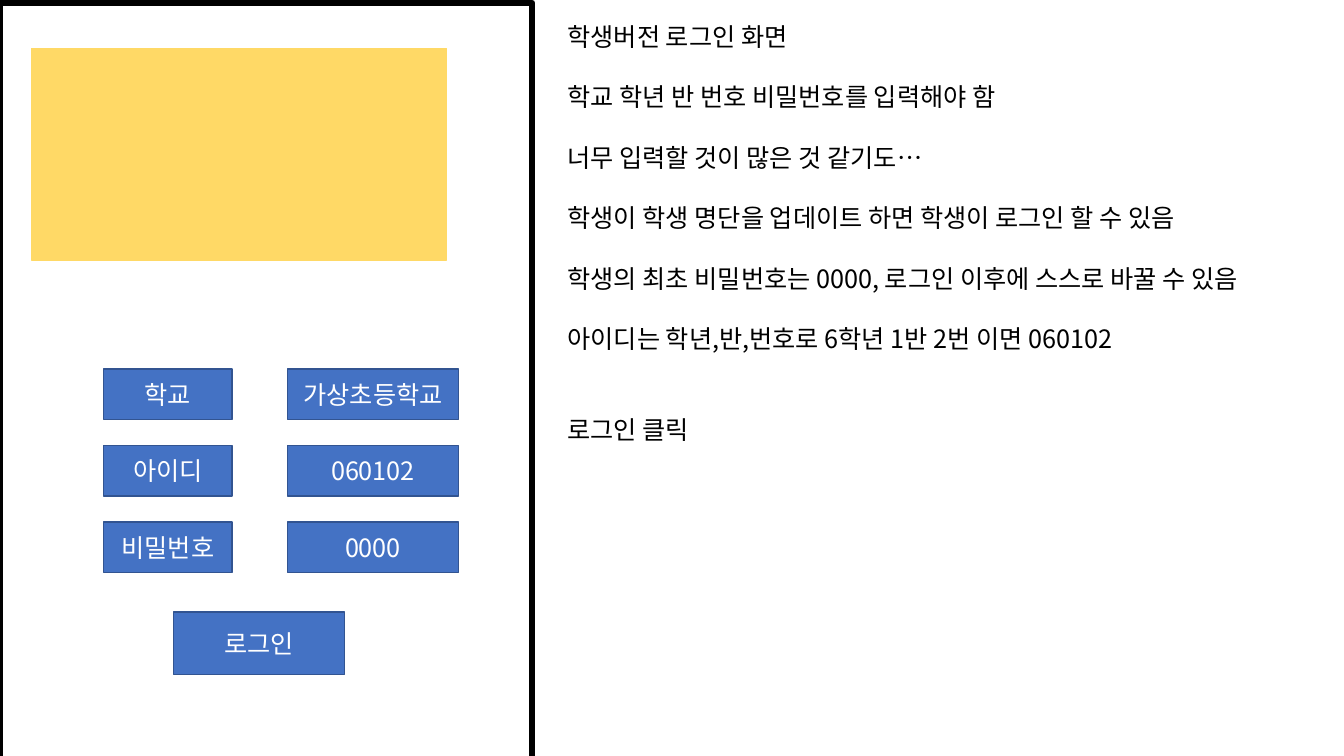
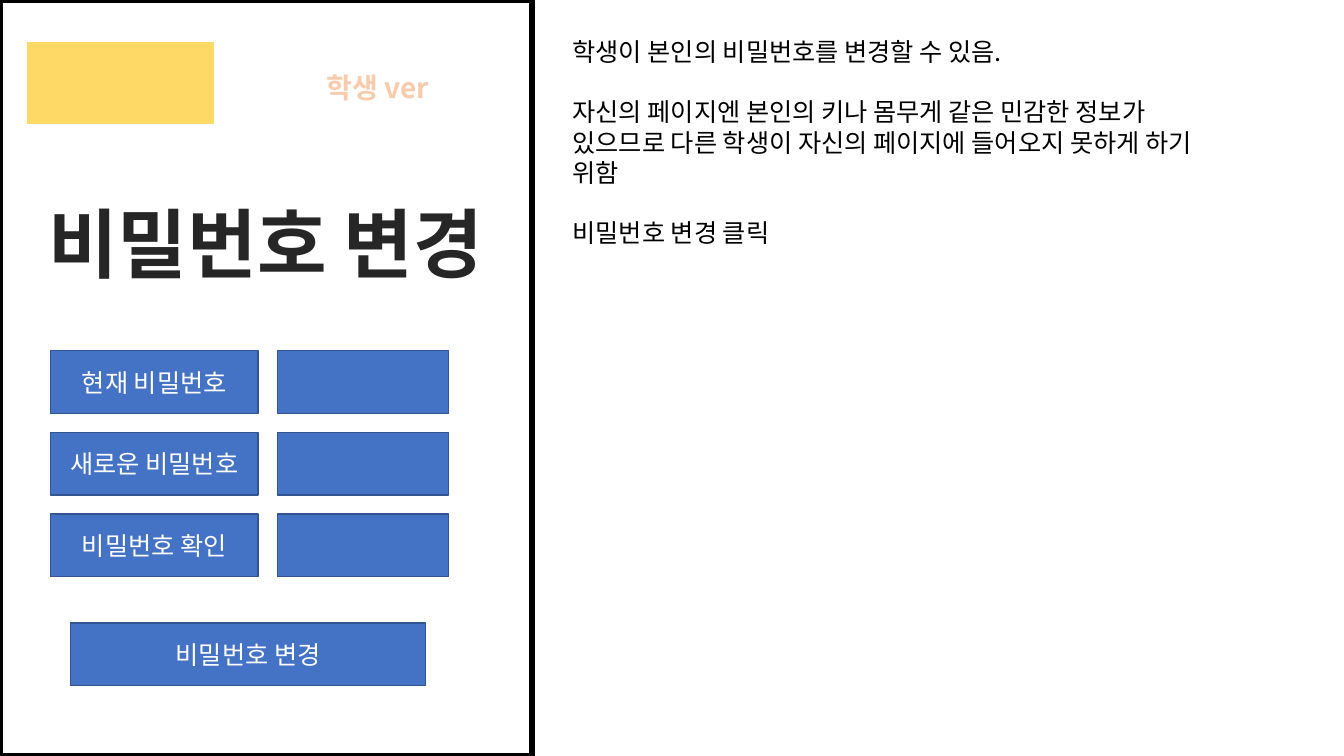
import pptx
import pptx.dml.color
import pptx.enum.shapes
import pptx.enum.text
import pptx.oxml.ns
import pptx.util
from lxml import etree
from pptx.util import Inches, Pt

FONT = "Noto Sans CJK KR"
BLACK, WHITE = "000000", "FFFFFF"
BLUE, NAVY = "4472C4", "325491"
GOLD, PEACH, DARK = "FFD966", "F8CBAD", "262626"
LEAD = 1.2  # line height as a multiple of the text size
ALIGN = pptx.enum.text.PP_ALIGN
ANCHOR = pptx.enum.text.MSO_ANCHOR


def rgb(code):
    return pptx.dml.color.RGBColor.from_string(code)


def inch(box):
    return [Inches(n) for n in box]


def style(par, size, color, align=ALIGN.CENTER, bold=False):
    par.alignment = align
    par.line_spacing = Pt(size * LEAD)
    for run in par.runs:
        font = run.font
        font.name, font.size, font.bold = FONT, Pt(size), bold
        font.color.rgb = rgb(color)
        asian = etree.SubElement(font._element, pptx.oxml.ns.qn("a:ea"))
        asian.set("typeface", FONT)


def label(slide, box, text, size, color):
    frame = slide.shapes.add_textbox(*inch(box)).text_frame
    frame.word_wrap = True
    frame.text = text
    style(frame.paragraphs[0], size, color, bold=True)


def rect(slide, box, fill, line, width):
    kind = pptx.enum.shapes.MSO_SHAPE.RECTANGLE
    shape = slide.shapes.add_shape(kind, *inch(box))
    shape.shadow.inherit = False
    shape.fill.solid()
    shape.fill.fore_color.rgb = rgb(fill)
    shape.line.color.rgb = rgb(line)
    shape.line.width = Pt(width)
    return shape


def button(slide, box, text=""):
    shape = rect(slide, box, BLUE, NAVY, 1)
    if text:
        frame = shape.text_frame
        frame.vertical_anchor = ANCHOR.MIDDLE
        frame.text = text
        style(frame.paragraphs[0], 18, WHITE)


def form(slide, rows, left, right, top, step, wide, high):
    """Stack rows of a label button and a value button."""
    for i, (name, value) in enumerate(rows):
        y = top + i * step
        button(slide, (left, y, wide, high), name)
        button(slide, (right, y, 1.7, high), value)


def notes(slide, box, items):
    """Write paragraphs, each followed by a gap counted in lines."""
    frame = slide.shapes.add_textbox(*inch(box)).text_frame
    frame.word_wrap = True
    frame.text = "\n".join(text for text, _ in items)
    for par, (_, gap) in zip(frame.paragraphs, items):
        style(par, 18, BLACK, ALIGN.LEFT)
        par.space_after = Pt(gap * 18 * LEAD)


def phone(slide, top):
    rect(slide, (0, top, 5.28, 7.5), WHITE, BLACK, 4.5)


def banner(slide, box):
    rect(slide, box, GOLD, GOLD, 1)


def title(slide, box, text):
    shape = slide.shapes.title
    shape.left, shape.top, shape.width, shape.height = inch(box)
    tree = shape._element.getparent()
    tree.append(shape._element)  # in front of the phone frame
    frame = shape.text_frame
    frame.auto_size = pptx.enum.text.MSO_AUTO_SIZE.NONE
    frame.word_wrap = True
    frame.vertical_anchor = ANCHOR.TOP
    frame.text = text
    par = frame.paragraphs[0]
    style(par, 54, DARK, bold=True)
    par.space_before = Pt(0)


def login(deck):
    slide = deck.slides.add_slide(deck.slide_layouts[6])
    phone(slide, 0.03)
    banner(slide, (0.31, 0.48, 4.12, 2.1))
    rows = [("학교", "가상초등학교"), ("아이디", "060102"), ("비밀번호", "0000")]
    form(slide, rows, 1.03, 2.85, 3.66, 0.76, 1.27, 0.5)
    button(slide, (1.72, 6.07, 1.7, 0.62), "로그인")
    notes(slide, (5.53, 0.16, 7.47, 4.64), [
        ("학생버전 로그인 화면", 1),
        ("학교 학년 반 번호 비밀번호를 입력해야 함", 1),
        ("너무 입력할 것이 많은 것 같기도…", 1),
        ("학생이 학생 명단을 업데이트 하면 학생이 로그인 할 수 있음", 1),
        ("학생의 최초 비밀번호는 0000, 로그인 이후에 스스로 바꿀 수 있음", 1),
        ("아이디는 학년,반,번호로 6학년 1반 2번 이면 060102", 2),
        ("로그인 클릭", 0),
    ])


def change(deck):
    slide = deck.slides.add_slide(deck.slide_layouts[5])
    phone(slide, 0)
    banner(slide, (0.27, 0.42, 1.85, 0.8))
    title(slide, (0.13, 1.9, 5.01, 1.01), "비밀번호 변경")
    rows = [("현재 비밀번호", ""), ("새로운 비밀번호", ""), ("비밀번호 확인", "")]
    form(slide, rows, 0.5, 2.75, 3.48, 0.81, 2.06, 0.62)
    button(slide, (0.7, 6.18, 3.52, 0.62), "비밀번호 변경")
    label(slide, (2.89, 0.65, 1.71, 0.44), "학생 ver", 20, PEACH)
    notes(slide, (5.58, 0.31, 6.5, 2.22), [
        ("학생이 본인의 비밀번호를 변경할 수 있음.", 1),
        ("자신의 페이지엔 본인의 키나 몸무게 같은 민감한 정보가 있으므로 "
         "다른 학생이 자신의 페이지에 들어오지 못하게 하기 위함", 1),
        ("비밀번호 변경 클릭", 0),
    ])


def main():
    deck = pptx.Presentation()
    deck.slide_width, deck.slide_height = Inches(13.33), Inches(7.5)
    login(deck)
    change(deck)
    deck.save("out.pptx")


if __name__ == "__main__":
    main()
